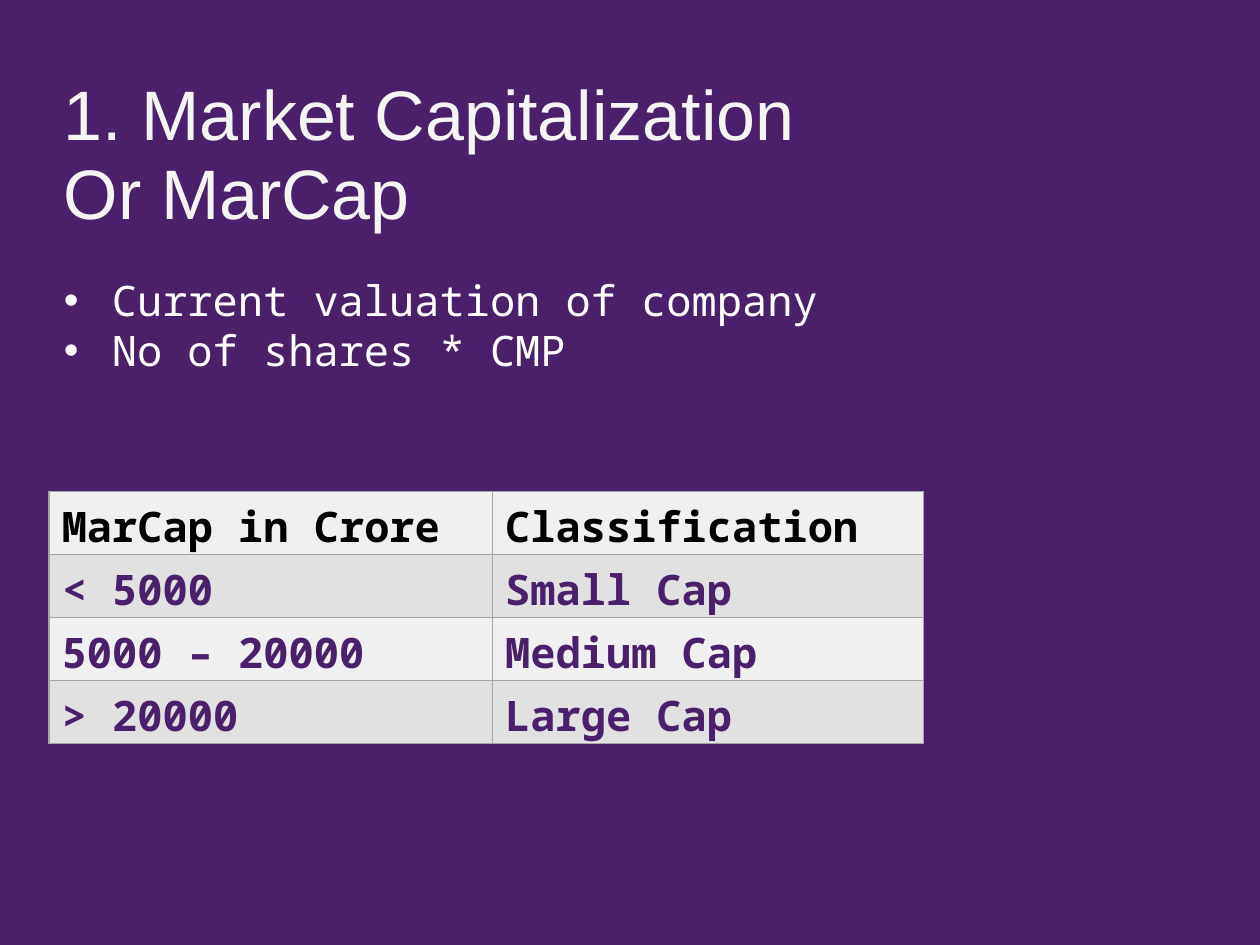
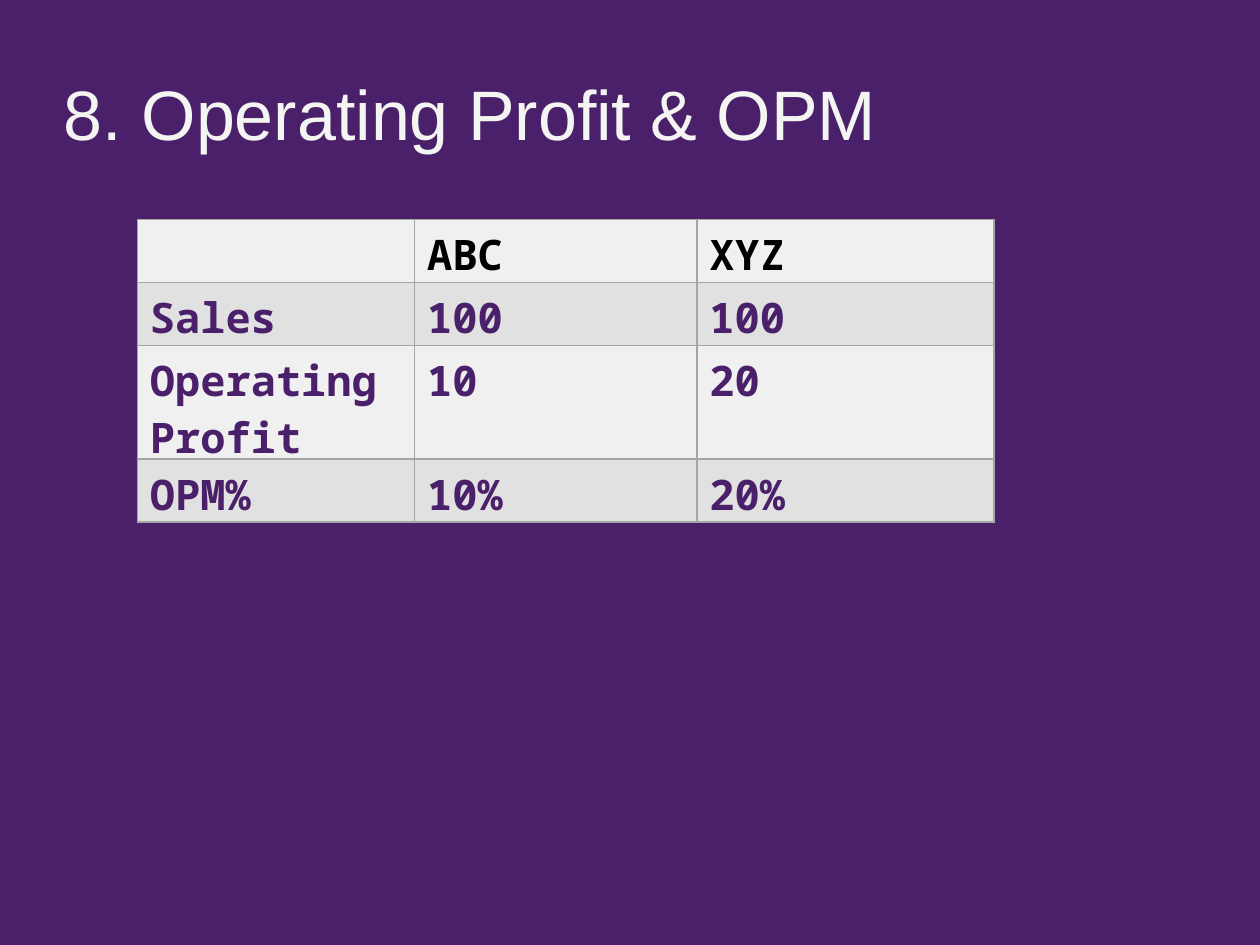
from lxml import etree
from pptx import Presentation
from pptx.dml.color import RGBColor
from pptx.oxml import ns
from pptx.util import Inches, Pt

PURPLE = RGBColor(0x4A, 0x20, 0x6A)
OFF_WHITE = RGBColor(0xF4, 0xF4, 0xF2)
WHITE = RGBColor(0xFF, 0xFF, 0xFF)
BLACK = RGBColor(0, 0, 0)
LIGHT_ROW = RGBColor(0xF0, 0xF0, 0xF0)
DARK_ROW = RGBColor(0xE1, 0xE1, 0xE1)
BORDER = RGBColor(0xA5, 0xA5, 0xA5)

TITLE_FONT = "Arial"
BODY_FONT = "Noto Sans Mono"
LEFT = 0.41

SLIDES = [
    {
        "titles": ["1. Market Capitalization", "Or MarCap"],
        "title_width": 7.23,
        "bullets": ["Current valuation of company", "No of shares * CMP"],
        "table_at": (0.39, 3.9),
        "columns": [3.52, 3.42],
        "row_heights": [0.5, 0.5, 0.5, 0.5],
        "cells": [
            ["MarCap in Crore", "Classification"],
            ["< 5000", "Small Cap"],
            ["5000 – 20000", "Medium Cap"],
            ["> 20000", "Large Cap"],
        ],
    },
    {
        "titles": ["8. Operating Profit & OPM"],
        "title_width": 8.74,
        "bullets": [],
        "table_at": (1.09, 1.74),
        "columns": [2.2, 2.24, 2.36],
        "row_heights": [0.5, 0.5, 0.9, 0.5],
        "cells": [
            ["", "ABC", "XYZ"],
            ["Sales", "100", "100"],
            ["Operating Profit", "10", "20"],
            ["OPM%", "10%", "20%"],
        ],
    },
]


def write_text(frame, lines, font=BODY_FONT, size=24, color=WHITE, bold=False, bullet=None):
    """Fill a text frame with one formatted paragraph per line."""
    frame.word_wrap = True
    for index, line in enumerate(lines):
        paragraph = frame.paragraphs[0] if index == 0 else frame.add_paragraph()
        run = paragraph.add_run()
        run.text = line
        run.font.name = font
        run.font.size = Pt(size)
        run.font.bold = bold
        run.font.color.rgb = color
        if bullet:
            properties = paragraph._p.get_or_add_pPr()
            properties.set("marL", str(Inches(0.38)))
            properties.set("indent", str(-Inches(0.38)))
            etree.SubElement(properties, ns.qn("a:buFont"), typeface=TITLE_FONT)
            etree.SubElement(properties, ns.qn("a:buChar"), char=bullet)


def style_cell(cell, fill):
    """Give a table cell its thin grey borders and its fill."""
    properties = cell._tc.get_or_add_tcPr()
    for side in ("lnL", "lnR", "lnT", "lnB"):
        line = etree.SubElement(properties, ns.qn(f"a:{side}"), w=str(Pt(1)))
        solid = etree.SubElement(line, ns.qn("a:solidFill"))
        etree.SubElement(solid, ns.qn("a:srgbClr"), val=str(BORDER))
    cell.fill.solid()
    cell.fill.fore_color.rgb = fill


presentation = Presentation()
presentation.slide_width = Inches(10)
presentation.slide_height = Inches(7.5)

for content in SLIDES:
    slide = presentation.slides.add_slide(presentation.slide_layouts[6])
    slide.background.fill.solid()
    slide.background.fill.fore_color.rgb = PURPLE

    # Each title line has its own box
    for index, title in enumerate(content["titles"]):
        box = slide.shapes.add_textbox(Inches(LEFT), Inches(0.51 + 0.63 * index),
                                       Inches(content["title_width"]), Inches(0.77))
        write_text(box.text_frame, [title], font=TITLE_FONT, size=40, color=OFF_WHITE)

    if content["bullets"]:
        box = slide.shapes.add_textbox(Inches(LEFT), Inches(2.13), Inches(8.46), Inches(0.91))
        write_text(box.text_frame, content["bullets"], bullet="•")

    # Table with alternating row fills and a black header
    cells, columns, heights = content["cells"], content["columns"], content["row_heights"]
    left, top = content["table_at"]
    table = slide.shapes.add_table(len(cells), len(columns), Inches(left), Inches(top),
                                   Inches(sum(columns)), Inches(sum(heights))).table
    for column, width in zip(table.columns, columns):
        column.width = Inches(width)
    for row_index, (row, height, values) in enumerate(zip(table.rows, heights, cells)):
        row.height = Inches(height)
        for cell, value in zip(row.cells, values):
            style_cell(cell, DARK_ROW if row_index % 2 else LIGHT_ROW)
            if value:
                write_text(cell.text_frame, [value], bold=True,
                           color=PURPLE if row_index else BLACK)

presentation.save("out.pptx")
